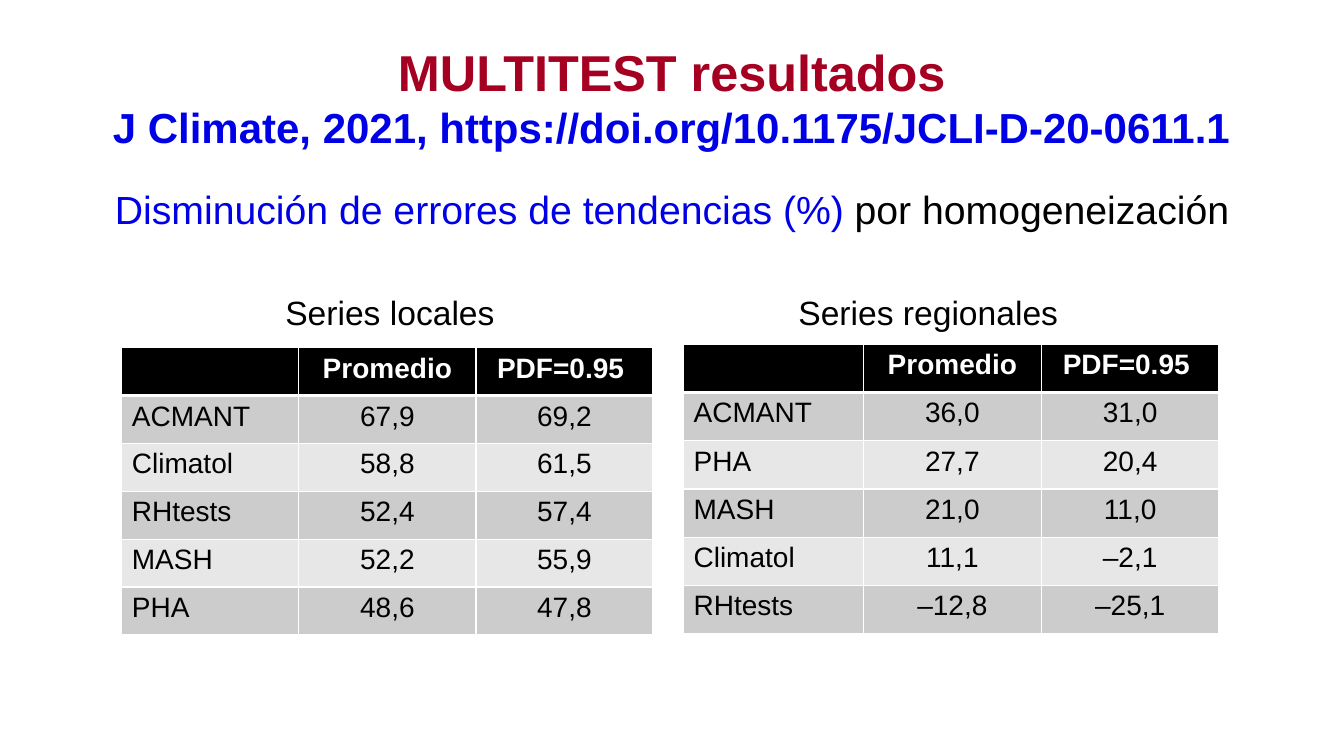
from pptx import Presentation
from pptx.dml.color import RGBColor
from pptx.enum.text import MSO_ANCHOR, PP_ALIGN
from pptx.oxml import parse_xml
from pptx.oxml.ns import nsdecls
from pptx.util import Pt

RED = RGBColor(0xA5, 0x00, 0x21)
BLUE = RGBColor(0x00, 0x00, 0xE6)
BLACK = RGBColor(0x00, 0x00, 0x00)
WHITE = RGBColor(0xFF, 0xFF, 0xFF)
DARK_BAND = RGBColor(0xCC, 0xCC, 0xCC)
LIGHT_BAND = RGBColor(0xE7, 0xE7, 0xE7)
FONT = "Arial"

TITLE = "MULTITEST resultados"
CITATION = "J Climate, 2021, https://doi.org/10.1175/JCLI-D-20-0611.1"
SUBTITLE = [("Disminución de errores de tendencias (%) ", BLUE),
            ("por homogeneización", BLACK)]
HEADER = ("", "Promedio", "PDF=0.95 ")
TABLES = [
    dict(heading="Series locales", heading_center=278.5,
         left=87, top=248.4, widths=(126.5, 126.5, 126.5), row_height=34.2,
         rows=[("ACMANT", "67,9", "69,2"),
               ("Climatol", "58,8", "61,5"),
               ("RHtests", "52,4", "57,4"),
               ("MASH", "52,2", "55,9"),
               ("PHA", "48,6", "47,8")]),
    dict(heading="Series regionales", heading_center=663,
         left=488.2, top=245.8, widths=(128.6, 127, 127), row_height=34.5,
         rows=[("ACMANT", "36,0", "31,0"),
               ("PHA", "27,7", "20,4"),
               ("MASH", "21,0", "11,0"),
               ("Climatol", "11,1", "–2,1"),
               ("RHtests", "–12,8", "–25,1")]),
]


def add_text(p, text, size=20, color=BLACK, bold=False, align=PP_ALIGN.CENTER):
    p.alignment = align
    r = p.add_run()
    r.text = text
    r.font.name = FONT
    r.font.size = Pt(size)
    r.font.bold = bold
    r.font.color.rgb = color


def add_box(slide, left, top, width, height):
    """Add a middle-anchored text box and return its text frame."""
    tf = slide.shapes.add_textbox(Pt(left), Pt(top), Pt(width), Pt(height)).text_frame
    tf.word_wrap = True
    tf.vertical_anchor = MSO_ANCHOR.MIDDLE
    return tf


def set_borders(cell, bottom):
    """Give a cell 1 pt white borders, with its own bottom width."""
    tcPr = cell._tc.get_or_add_tcPr()
    for side, width in (("L", 1), ("R", 1), ("T", 1), ("B", bottom)):
        tcPr.append(parse_xml(
            f'<a:ln{side} {nsdecls("a")} w="{Pt(width)}">'
            f'<a:solidFill><a:srgbClr val="{WHITE}"/></a:solidFill></a:ln{side}>'))


def add_results(slide, heading, heading_center, left, top, widths, row_height, rows):
    """Add a heading and the results table below it."""
    tf = add_box(slide, heading_center - 150, 203, 300, 40)
    add_text(tf.paragraphs[0], heading, size=24)

    rows = [HEADER] + rows
    table = slide.shapes.add_table(
        len(rows), len(widths), Pt(left), Pt(top),
        Pt(sum(widths)), Pt(row_height * len(rows))).table
    for column, width in zip(table.columns, widths):
        column.width = Pt(width)
    for i, values in enumerate(rows):
        table.rows[i].height = Pt(row_height)
        is_header = i == 0
        fill = BLACK if is_header else DARK_BAND if i % 2 else LIGHT_BAND
        for j, value in enumerate(values):
            cell = table.cell(i, j)
            set_borders(cell, bottom=3 if is_header else 1)
            cell.fill.solid()
            cell.fill.fore_color.rgb = fill
            if value:
                add_text(cell.text_frame.paragraphs[0], value, bold=is_header,
                         color=WHITE if is_header else BLACK,
                         align=PP_ALIGN.CENTER if j else PP_ALIGN.LEFT)


def main():
    prs = Presentation()
    prs.slide_width, prs.slide_height = Pt(960), Pt(540)
    slide = prs.slides.add_slide(prs.slide_layouts[6])

    tf = add_box(slide, 48, 24, 864, 90)
    add_text(tf.paragraphs[0], TITLE, size=36, color=RED, bold=True)
    add_text(tf.add_paragraph(), CITATION, size=30, color=BLUE, bold=True)

    tf = add_box(slide, 48, 126, 864, 46)
    for text, color in SUBTITLE:
        add_text(tf.paragraphs[0], text, size=28, color=color)

    for results in TABLES:
        add_results(slide, **results)
    prs.save("out.pptx")


if __name__ == "__main__":
    main()
